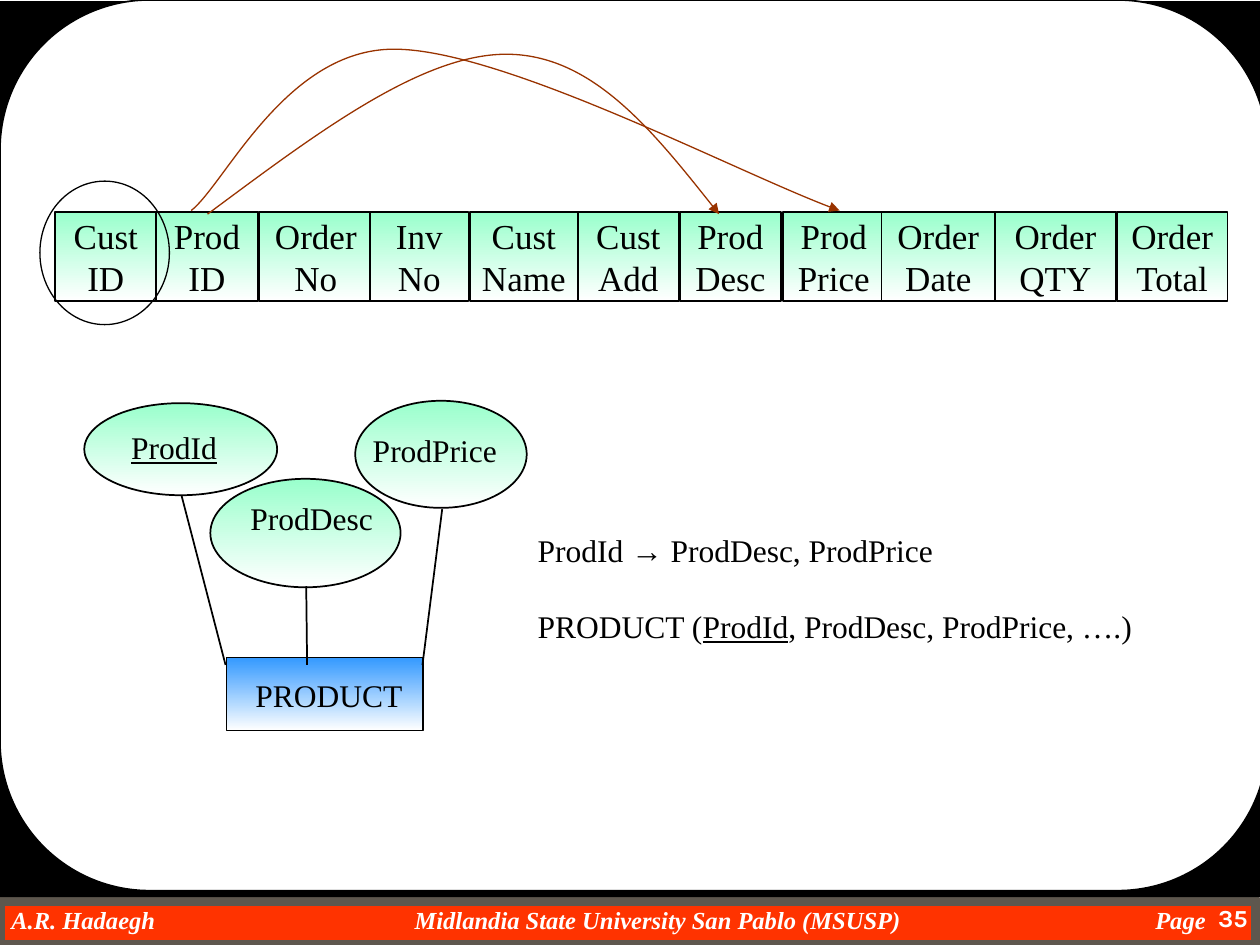
import lxml.etree
import pptx
import pptx.dml.color
import pptx.enum.shapes
import pptx.enum.text
import pptx.oxml.ns
import pptx.util

Pt = pptx.util.Pt
SHAPE = pptx.enum.shapes.MSO_SHAPE
ALIGN = pptx.enum.text.PP_ALIGN
ANCHOR = pptx.enum.text.MSO_ANCHOR
qn = pptx.oxml.ns.qn

COLORS = {
    "black": "000000", "white": "FFFFFF", "footer": "FF3300", "border": "5E574E",
    "mint": "99FFCC", "blue": "3399FF", "arrow": "993300",
}
SERIF = "Times New Roman"
CELLS = [  # left offset, width, words
    (0, 58, "Cust", "ID"), (57.6, 58.3, "Prod", "ID"), (116.6, 64.8, "Order", "No"),
    (180, 56.2, "Inv", "No"), (236.9, 61.9, "Cust", "Name"), (298.8, 57.6, "Cust", "Add"),
    (357.1, 57.6, "Prod", "Desc"), (415.8, 58.3, "Prod", "Price"),
    (472.3, 64.8, "Order", "Date"), (537.1, 69.1, "Order", "QTY"),
    (606.6, 63.4, "Order", "Total"),
]
ARROWS = [  # start, then control, control, end for each curve; offsets from the row
    [(87.1, 1.4), (148.3, -44), (208.8, -90), (257.8, -90),
     (306.7, -90), (343.4, -44), (379.4, 1.4)],
    [(77.8, -0.7), (97.2, -15.9), (131.8, -92.9), (193.7, -92.9),
     (255.6, -92.9), (395.3, -19.5), (448.3, -0.7)],
]


def color(name):
    """Return the named colour."""
    return pptx.dml.color.RGBColor.from_string(COLORS[name])


def style(shape, fill=None, line=None, width=1):
    """Give a shape a plain fill, a gradient down to white, or none, and a line."""
    shape.shadow.inherit = False
    if fill in ("mint", "blue"):
        shape.fill.gradient()
        shape.fill.gradient_angle = 270
        for stop, name, position in zip(shape.fill.gradient_stops, (fill, "white"), (0, 1)):
            stop.color.rgb = color(name)
            stop.position = position
    elif fill:
        shape.fill.solid()
        shape.fill.fore_color.rgb = color(fill)
    else:
        shape.fill.background()
    if line:
        shape.line.color.rgb = color(line)
        shape.line.width = Pt(width)
    else:
        shape.line.fill.background()


def add_shape(shapes, kind, box, fill=None, line=None, width=1):
    """Add a styled preset shape in box (left, top, width, height)."""
    shape = shapes.add_shape(kind, *map(Pt, box))
    style(shape, fill, line, width)
    return shape


def add_run(paragraph, text, size=18, name="black", font=SERIF, **flags):
    """Add one formatted run."""
    run = paragraph.add_run()
    run.text = text
    run.font.size = Pt(size)
    run.font.name = font
    run.font.color.rgb = color(name)
    for flag, value in flags.items():
        setattr(run.font, flag, value)


def set_frame(frame, insets=(7.2, 3.6), anchor=ANCHOR.TOP):
    """Set horizontal and vertical insets, anchor and no wrapping."""
    frame.word_wrap = False
    frame.vertical_anchor = anchor
    frame.margin_left = frame.margin_right = Pt(insets[0])
    frame.margin_top = frame.margin_bottom = Pt(insets[1])


def add_label(shapes, box, text, align=ALIGN.LEFT, insets=(7.2, 3.6), **format_options):
    """Add a text box with one run and return its paragraph."""
    frame = shapes.add_textbox(*map(Pt, box)).text_frame
    set_frame(frame, insets)
    paragraph = frame.paragraphs[0]
    paragraph.alignment = align
    add_run(paragraph, text, **format_options)
    return paragraph


def add_line(shapes, start, end):
    """Add a thin black straight line."""
    connector = shapes.add_connector(
        pptx.enum.shapes.MSO_CONNECTOR.STRAIGHT, *map(Pt, start + end))
    connector.line.color.rgb = color("black")
    connector.line.width = Pt(1)
    properties = connector._element.spPr
    lxml.etree.SubElement(properties, qn("a:effectLst"))


def add_curved_arrow(shapes, points):
    """Add a Bezier curve through points, ending in an arrowhead."""
    points = [(Pt(x), Pt(y)) for x, y in points]
    builder = shapes.build_freeform(*points[0])
    builder.add_line_segments(points[1:], close=False)
    shape = builder.convert_to_shape()
    style(shape, line="arrow", width=0.75)
    segments = list(shape._element.iter(qn("a:lnTo")))
    for index in range(0, len(segments), 3):
        curve = lxml.etree.Element(qn("a:cubicBezTo"))
        segments[index].addprevious(curve)
        for segment in segments[index:index + 3]:
            curve.append(segment[0])
            segment.getparent().remove(segment)
    outline = shape.line._get_or_add_ln()
    lxml.etree.SubElement(outline, qn("a:tailEnd"), type="triangle")


def add_frame(slide, width, height):
    """Draw the black backdrop and its rounded white panel."""
    add_shape(slide.shapes, SHAPE.RECTANGLE, (0, 0.7, width, height), "black")
    panel = add_shape(slide.shapes, SHAPE.ROUNDED_RECTANGLE,
                      (0, 0, width + 4.3, height - 3), "white", "black")
    panel.adjustments[0] = 0.168


def add_footer(slide, left, top, width, height):
    """Draw the footer bar with author, school and page number."""
    add_shape(slide.shapes, SHAPE.RECTANGLE, (left, top, width, height),
              "footer", "border", 6)
    parts = [
        (6.5, 100, "A.R. Hadaegh", ALIGN.LEFT),
        (196, 360, "Midlandia State University San Pablo (MSUSP)", ALIGN.CENTER),
        (629, 60, "Page", ALIGN.RIGHT),
    ]
    for offset, part_width, text, align in parts:
        add_label(slide.shapes, (left + offset, top + 2.2, part_width, 16.6), text, align,
                  (0, 0), size=14, name="white", bold=True, italic=True)
    add_label(slide.shapes, (left + 666, top - 2.2, 54, 27.4), "35", ALIGN.RIGHT,
              size=14, name="white", font="Karla", bold=True)


def add_attribute_row(slide, left, top, height):
    """Draw the row of attributes, its dependency arrows and the key circle."""
    shapes = slide.shapes.add_group_shape().shapes
    for offset, width, *words in CELLS:
        cell = add_shape(shapes, SHAPE.RECTANGLE, (left + offset, top, width, height),
                         "mint", "black")
        frame = cell.text_frame
        set_frame(frame, (0, 0), ANCHOR.MIDDLE)
        for index, word in enumerate(words):
            paragraph = frame.add_paragraph() if index else frame.paragraphs[0]
            paragraph.alignment = ALIGN.CENTER
            add_run(paragraph, word, 20)
    for points in ARROWS:
        add_curved_arrow(shapes, [(left + x, top + y) for x, y in points])
    add_shape(shapes, SHAPE.OVAL, (left - 8.7, top - 17.5, 74, 82), line="black", width=0.75)


def add_product_diagram(slide, left, top):
    """Draw the PRODUCT entity with its three attributes."""
    shapes = slide.shapes.add_group_shape().shapes

    def place(x, y, *size):
        """Move a point or box into the diagram."""
        return (left + x, top + y) + size

    add_line(shapes, place(55.5, 54), place(80.7, 151))
    add_shape(shapes, SHAPE.RECTANGLE, place(81.3, 146.7, 112.3, 41.8), "blue", "black", 0.75)
    add_label(shapes, place(90.7, 154, 102, 29), "PRODUCT")
    for box in [(0, 1.4, 110.2, 52.6), (72, 44.6, 108.7, 62), (154.8, 0, 98, 61.2)]:
        add_shape(shapes, SHAPE.OVAL, place(*box), "mint", "black")
    add_label(shapes, place(19.7, 12.2, 68, 29), "ProdId", underline=True)
    description = add_label(shapes, place(84.9, 56.6, 90, 24.5), "ProdDesc", ALIGN.CENTER)
    description.line_spacing = 0.8
    add_label(shapes, place(157.7, 13.7, 90, 29), "ProdPrice")
    add_line(shapes, place(126.8, 106), place(127.3, 151))
    add_line(shapes, place(204.5, 62), place(193.2, 151))


def add_schema(slide, left, top, width, height):
    """Write the dependency and the resulting relation."""
    frame = slide.shapes.add_textbox(*map(Pt, (left, top, width, height))).text_frame
    set_frame(frame)
    add_run(frame.paragraphs[0], "ProdId → ProdDesc, ProdPrice")
    relation = frame.add_paragraph()
    relation.space_before = Pt(21.5)
    add_run(relation, "PRODUCT (")
    add_run(relation, "ProdId", underline=True)
    add_run(relation, ", ProdDesc, ProdPrice, ….)")


presentation = pptx.Presentation()
presentation.slide_width = Pt(720)
presentation.slide_height = Pt(540)
slide = presentation.slides.add_slide(presentation.slide_layouts[6])
add_footer(slide, 0, 514.8, 717.8, 25.2)
add_frame(slide, 720, 512)
add_attribute_row(slide, 31.5, 121, 51)
add_schema(slide, 300.2, 300.2, 354.2, 72)
add_product_diagram(slide, 48.2, 229)
presentation.save("out.pptx")
